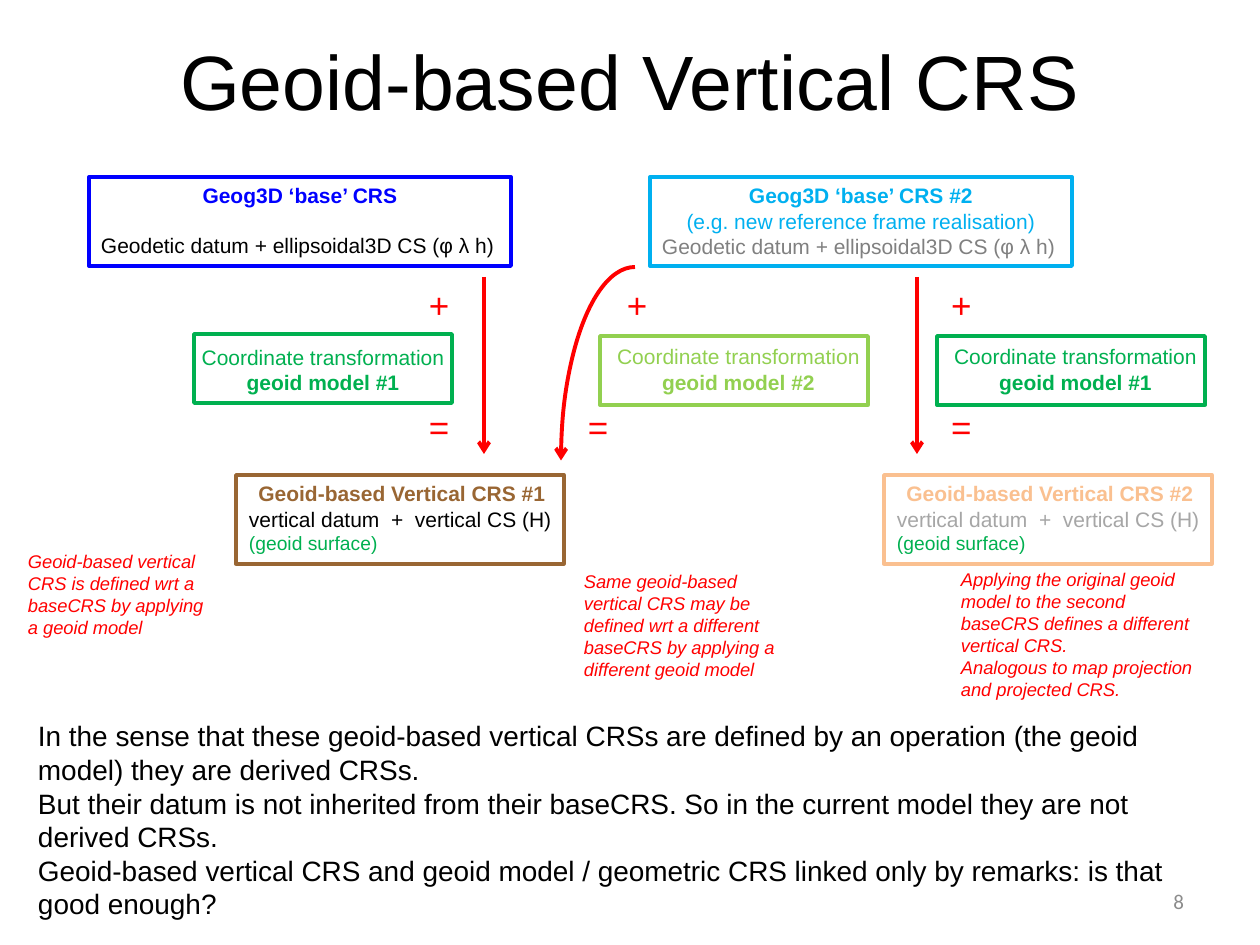
from dataclasses import dataclass
from typing import Optional

from lxml import etree
from pptx import Presentation
from pptx.dml.color import RGBColor
from pptx.enum.shapes import MSO_CONNECTOR, MSO_SHAPE
from pptx.enum.text import MSO_ANCHOR, MSO_AUTO_SIZE, PP_ALIGN
from pptx.oxml.ns import qn
from pptx.util import Emu, Pt

LEFT, CENTER, RIGHT = PP_ALIGN.LEFT, PP_ALIGN.CENTER, PP_ALIGN.RIGHT
TOP, MIDDLE = MSO_ANCHOR.TOP, MSO_ANCHOR.MIDDLE
RECTANGLE, ARC = MSO_SHAPE.RECTANGLE, MSO_SHAPE.ARC
STRAIGHT = MSO_CONNECTOR.STRAIGHT
NO_AUTOFIT = MSO_AUTO_SIZE.NONE

EMU_PER_PIXEL = 914400 / 126
COLORS = {
    "black": "000000", "red": "FF0000", "blue": "0000FF", "sky": "00B0F0",
    "green": "00B050", "lime": "92D050", "brown": "996633", "peach": "FAC090",
    "gray": "808080", "silver": "A6A6A6", "number": "8C8C8C",
}


@dataclass
class Line:
    text: str
    color: str = "black"
    size: float = 12
    bold: bool = False
    italic: bool = False
    align: PP_ALIGN = LEFT
    before: float = 0
    indent: int = 0
    font: str = "Arial"


@dataclass
class Box:
    left: int
    top: int
    width: int
    height: int
    lines: list[Line]
    outline: Optional[str] = None
    weight: float = 2
    insets: tuple[int, int, int] = (13, 6, 13)
    anchor: MSO_ANCHOR = TOP


def px(pixels: int) -> Emu:
    return Emu(round(pixels * EMU_PER_PIXEL))


def rgb(name: str) -> RGBColor:
    return RGBColor.from_string(COLORS[name])


def place(shape, left: int, top: int, width: int, height: int) -> None:
    shape.left, shape.top = px(left), px(top)
    shape.width, shape.height = px(width), px(height)


def write(frame, lines: list[Line], insets: tuple[int, int, int], anchor: MSO_ANCHOR) -> None:
    frame.word_wrap = True
    frame.auto_size = NO_AUTOFIT
    frame.vertical_anchor = anchor
    frame.margin_left, frame.margin_top, frame.margin_right = map(px, insets)
    frame.margin_bottom = px(6)
    for index, line in enumerate(lines):
        para = frame.add_paragraph() if index else frame.paragraphs[0]
        para.text = line.text
        para.alignment = line.align
        para.space_before = Pt(line.before)
        font = para.font
        font.name, font.size = line.font, Pt(line.size)
        font.bold, font.italic = line.bold, line.italic
        font.color.rgb = rgb(line.color)
        properties = para._p.get_or_add_pPr()
        properties.set("marL", str(px(line.indent)))
        properties.set("indent", "0")


def draw_box(page, box: Box) -> None:
    bounds = [px(value) for value in (box.left, box.top, box.width, box.height)]
    if box.outline:
        shape = page.shapes.add_shape(RECTANGLE, *bounds)
        shape.shadow.inherit = False
        shape.fill.background()
        shape.line.color.rgb = rgb(box.outline)
        shape.line.width = Pt(box.weight)
    else:
        shape = page.shapes.add_textbox(*bounds)
    write(shape.text_frame, box.lines, box.insets, box.anchor)


def style_arrow(shape) -> None:
    shape.line.color.rgb = rgb("red")
    shape.line.width = Pt(2.25)
    properties = shape._element.spPr
    etree.SubElement(properties.get_or_add_ln(), qn("a:tailEnd"), type="arrow")


def draw_arrow(page, x: int, top: int, bottom: int) -> None:
    arrow = page.shapes.add_connector(STRAIGHT, px(x), px(top), px(x), px(bottom))
    style_arrow(arrow)
    etree.SubElement(arrow._element.spPr, qn("a:effectLst"))


def draw_curve(page, left: int, top: int, width: int, height: int) -> None:
    curve = page.shapes.add_shape(ARC, px(left), px(top), px(width), px(height))
    curve.shadow.inherit = False
    curve.fill.background()
    style_arrow(curve)
    curve._element.spPr.find(qn("a:xfrm")).set("flipH", "1")


def base_crs(left: int, color: str, middle: list[Line], heading: str,
             datum_color: str, datum_before: float) -> Box:
    datum = Line("Geodetic datum + ellipsoidal3D CS (φ λ h)", datum_color, before=datum_before)
    lines = [Line(heading, color, bold=True, align=CENTER), *middle, datum]
    return Box(left, 177, 422, 89, lines, color, 2.25, (12, 6, 12))


def geoid_model(left: int, top: int, width: int, number: int, color: str,
                insets: tuple[int, int, int]) -> Box:
    lines = [
        Line("Coordinate transformation", color, align=CENTER),
        Line(f"geoid model #{number}", color, bold=True, align=CENTER),
    ]
    return Box(left, top, width, 69, lines, color, insets=insets)


def vertical_crs(left: int, number: int, color: str, datum_color: str) -> Box:
    lines = [
        Line(f"Geoid-based Vertical CRS #{number}", color, bold=True, align=CENTER),
        Line("vertical datum  +  vertical CS (H)", datum_color),
        Line("(geoid surface)", "green", 11),
    ]
    return Box(left, 475, 328, 89, lines, color, insets=(13, 6, 9))


def operators(left: int, plus_indent: int = 0) -> Box:
    lines = [Line("+", "red", 20, indent=plus_indent), Line("=", "red", 20, before=46)]
    return Box(left, 277, 84, 183, lines)


def remark(left: int, top: int, width: int, height: int, *texts: str) -> Box:
    return Box(left, top, width, height, [Line(text, "red", 10.5, italic=True) for text in texts])


BOXES = [
    base_crs(89, "blue", [], "Geog3D ‘base’ CRS", "black", 13.8),
    base_crs(650, "sky", [Line("(e.g. new reference frame realisation)", "sky", align=CENTER)],
             "Geog3D ‘base’ CRS #2", "gray", 0),
    geoid_model(194, 334, 258, 1, "green", (0, 10, 0)),
    geoid_model(600, 336, 268, 2, "lime", (9, 8, 0)),
    geoid_model(937, 336, 268, 1, "green", (9, 8, 0)),
    vertical_crs(236, 1, "brown", "black"),
    vertical_crs(884, 2, "peach", "silver"),
    operators(416),
    operators(575, 39),
    operators(938),
    remark(15, 544, 208, 102,
           "Geoid-based vertical CRS is defined wrt a baseCRS by applying a geoid model"),
    remark(571, 564, 228, 124, "Same geoid-based vertical CRS may be defined wrt a different "
           "baseCRS by applying a different geoid model"),
    remark(948, 562, 268, 146, "Applying the original geoid model to the second baseCRS defines "
           "a different vertical CRS.",
           "Analogous to map projection and projected CRS."),
    Box(903, 876, 294, 50, [Line("8", "number", align=RIGHT, font="Calibri")], anchor=MIDDLE),
]
CONCLUSIONS = [
    "In the sense that these geoid-based vertical CRSs are defined by an operation "
    "(the geoid model) they are derived CRSs. ",
    "But their datum is not inherited from their baseCRS. So in the current model they are "
    "not derived CRSs.",
    "Geoid-based vertical CRS and geoid model / geometric CRS linked only by remarks: "
    "is that good enough?",
]

deck = Presentation()
deck.slide_width, deck.slide_height = px(1260), px(945)
page = deck.slides.add_slide(deck.slide_layouts[1])

title, body = page.placeholders
place(title, 63, 1, 1134, 158)
write(title.text_frame, [Line("Geoid-based Vertical CRS", size=44, align=CENTER)],
      (13, 6, 13), MIDDLE)
place(body, 25, 713, 1211, 217)
write(body.text_frame, [Line(text, size=16) for text in CONCLUSIONS], (13, 6, 13), TOP)
for para in body.text_frame.paragraphs:
    properties = para._p.get_or_add_pPr()
    properties.find(qn("a:spcBef")).addnext(etree.Element(qn("a:buNone")))

for box in BOXES:
    draw_box(page, box)
for arrow_x in (484, 917):
    draw_arrow(page, arrow_x, 277, 454)
draw_curve(page, 561, 267, 148, 387)

deck.save("out.pptx")
